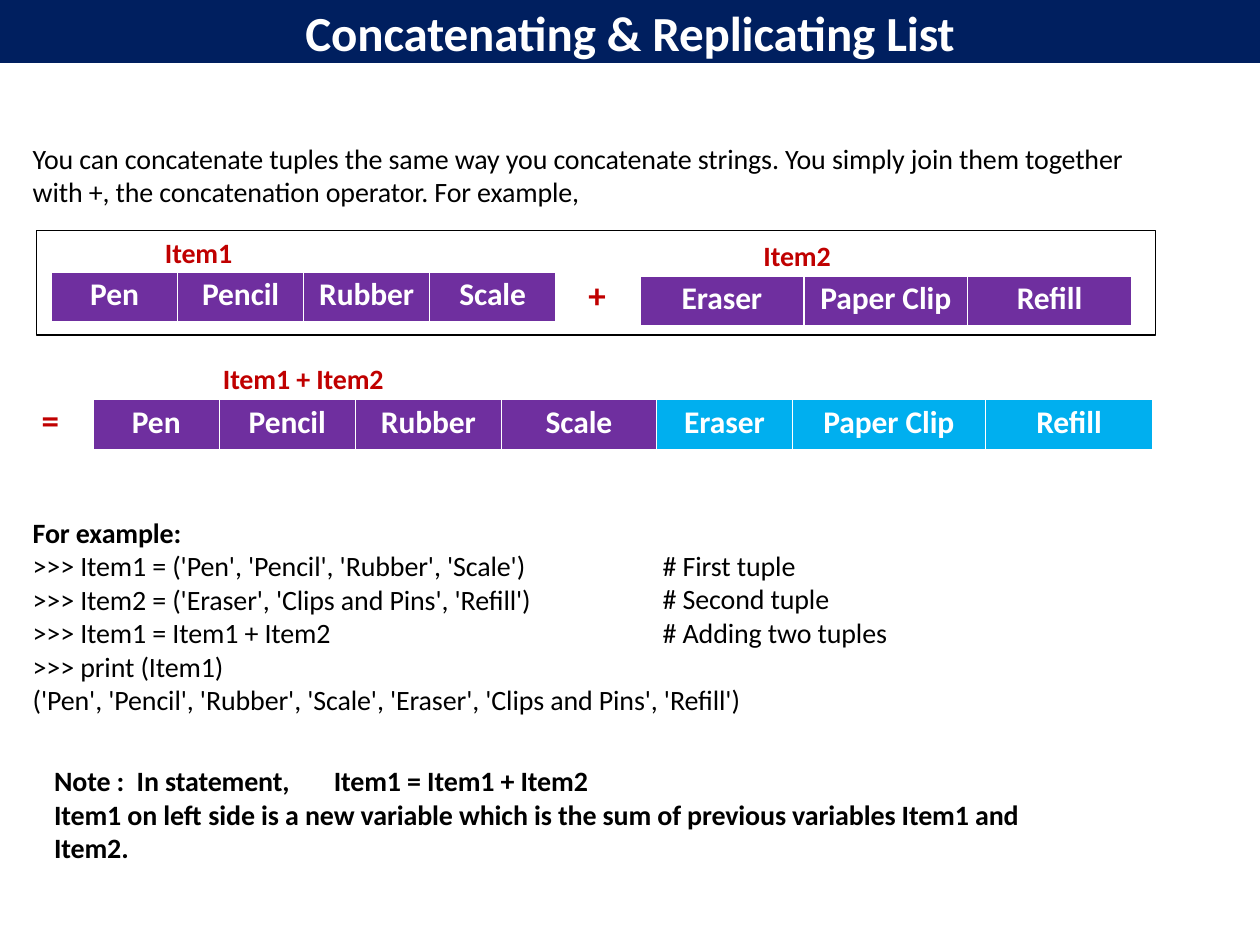
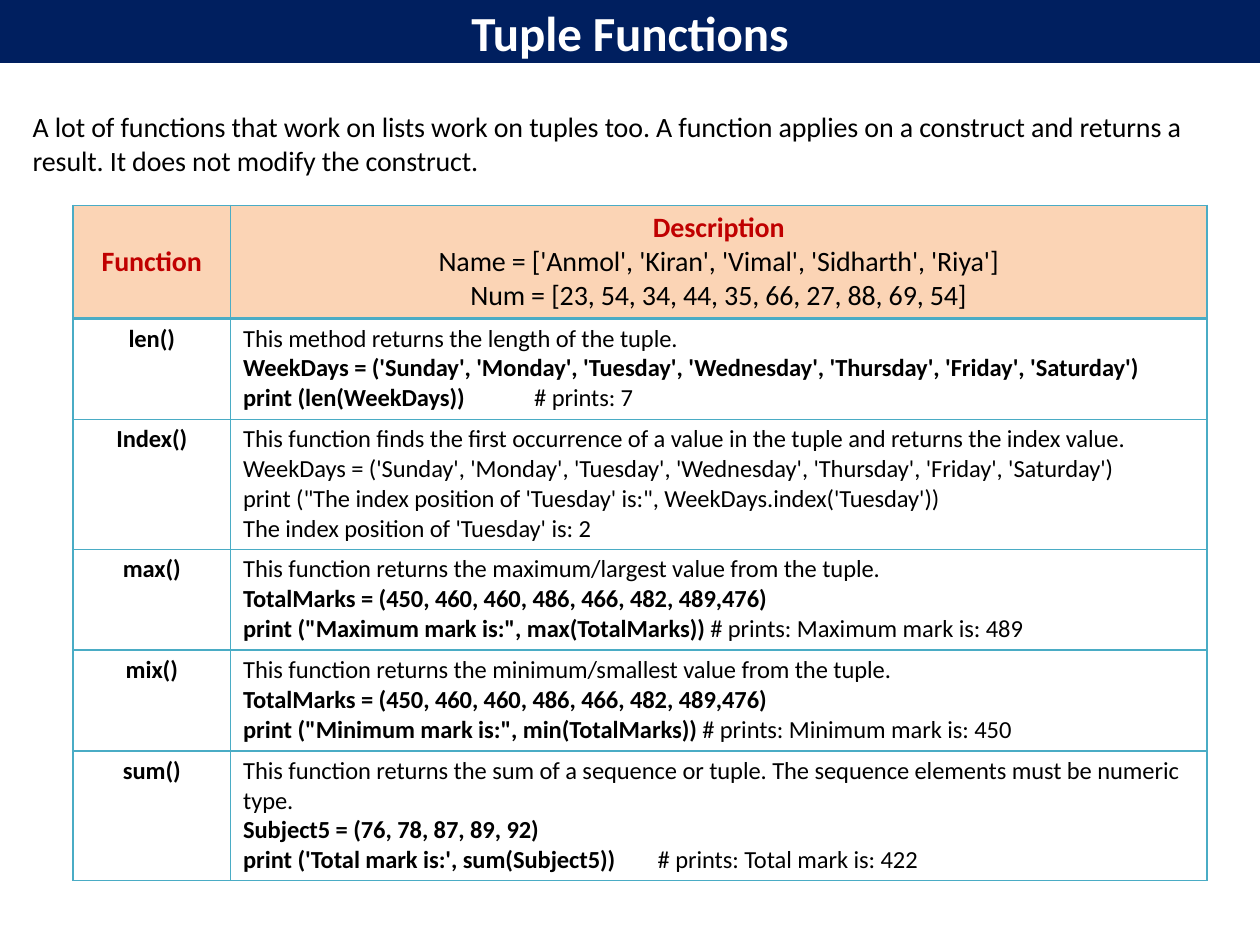
from lxml import etree
from pptx import Presentation
from pptx.dml.color import RGBColor
from pptx.enum.shapes import MSO_SHAPE
from pptx.enum.text import MSO_ANCHOR, PP_ALIGN
from pptx.oxml.ns import qn
from pptx.util import Inches, Pt

LEFT = PP_ALIGN.LEFT
CENTER = PP_ALIGN.CENTER
TOP = MSO_ANCHOR.TOP
MIDDLE = MSO_ANCHOR.MIDDLE
RECTANGLE = MSO_SHAPE.RECTANGLE

FONT = "Calibri"
NAVY = "001F5F"
WHITE = "FFFFFF"
BLACK = "000000"
RED = "C00000"
PURPLE = "6F2F9F"
BLUE = "00AFEF"
PEACH = "FBD4B5"
TEAL = "4AACC5"
color = RGBColor.from_string


def write(frame, lines, size, hue=BLACK, bold=False, align=LEFT, space=0.9, tab=0):
    for index, line in enumerate(lines):
        para = frame.add_paragraph() if index else frame.paragraphs[0]
        strong, bar, plain = line.partition("|")
        para.alignment = align
        para.space_before = Pt(0 if index else space)
        para.font.name = FONT
        para.font.size = Pt(size)
        para.font.color.rgb = color(hue)
        para.font.bold = bold or bool(bar)
        for text in filter(None, (strong, plain)):
            span = para.add_run()
            span.text = text
            span._r.get_or_add_rPr().set("spc", "-5")
            if bar and text == plain:
                span.font.bold = False
        if "\t" in line:
            stops = etree.Element(qn("a:tabLst"))
            etree.SubElement(stops, qn("a:tab"), pos=str(Inches(tab)), algn="l")
            para._p.pPr.find(qn("a:defRPr")).addprevious(stops)


def outline(cell, hue, top, bottom):
    sides = (("lnL", 1), ("lnR", 1), ("lnT", top), ("lnB", bottom))
    for index, (side, width) in enumerate(sides):
        line = etree.Element(qn(f"a:{side}"), w=str(Pt(width)))
        fill = etree.SubElement(line, qn("a:solidFill"))
        etree.SubElement(fill, qn("a:srgbClr"), val=hue)
        cell._tc.get_or_add_tcPr().insert(index, line)


deck = Presentation()
deck.slide_width = Inches(10)
deck.slide_height = Inches(7.5)

pages = []
for title in ("Concatenating & Replicating List", "Tuple Functions"):
    page = deck.slides.add_slide(deck.slide_layouts[6])
    band = page.shapes.add_shape(RECTANGLE, 0, 0, deck.slide_width, Inches(0.5))
    band.shadow.inherit = False
    band.fill.solid()
    band.fill.fore_color.rgb = color(NAVY)
    band.line.fill.background()
    frame = band.text_frame
    frame.margin_left = frame.margin_right = frame.margin_bottom = 0
    frame.margin_top = Inches(0.02)
    frame.vertical_anchor = TOP
    write(frame, [title], 28, WHITE, True, CENTER, 1.8)
    pages.append(page)
joining, functions = pages

labels = [
    (joining, (0.25, 1.11, 8.77, 0.56), 16, BLACK, False, [
        "You can concatenate tuples the same way you concatenate strings. "
        "You simply join them together with +, the concatenation operator. For example,"]),
    (joining, (5.25, 4.34, 1.83, 0.83), 16, BLACK, False, [
        "# First tuple", "# Second tuple", "# Adding two tuples"]),
    (joining, (0.25, 4.08, 4.03, 1.36), 16, BLACK, False, [
        "For example:|",
        ">>> Item1 = ('Pen', 'Pencil', 'Rubber', 'Scale')",
        ">>> Item2 = ('Eraser', 'Clips and Pins', 'Refill')",
        ">>> Item1 = Item1 + Item2",
        ">>> print (Item1)"]),
    (joining, (1.3, 1.86, 0.6, 0.29), 16, RED, True, ["Item1"]),
    (joining, (6.05, 1.88, 0.6, 0.29), 16, RED, True, ["Item2"]),
    (joining, (4.66, 2.16, 0.2, 0.36), 20, RED, True, ["+"]),
    (joining, (1.76, 2.86, 1.4, 0.29), 16, RED, True, ["Item1 + Item2"]),
    (joining, (0.32, 3.15, 0.2, 0.36), 20, RED, True, ["="]),
    (joining, (0.25, 5.41, 7.94, 0.29), 16, BLACK, False, [
        "('Pen', 'Pencil', 'Rubber', 'Scale', 'Eraser', 'Clips and Pins', 'Refill')"]),
    (joining, (0.42, 6.05, 7.77, 0.83), 16, BLACK, True, [
        "Note :  In statement,\tItem1 = Item1 + Item2",
        "Item1 on left side is a new variable which is the sum of previous "
        "variables Item1 and Item2."]),
    (functions, (0.25, 0.86, 9.27, 0.56), 16, BLACK, False, [
        "A lot of functions that work on lists work on tuples too. A function applies on "
        "a construct and returns a result. It does not modify the construct."]),
]
for page, place, size, hue, bold, lines in labels:
    box = page.shapes.add_textbox(*map(Inches, place))
    frame = box.text_frame
    frame.word_wrap = True
    frame.margin_left = frame.margin_top = Inches(0.01)
    frame.margin_right = frame.margin_bottom = 0
    write(frame, lines, size, hue, bold, tab=2.22)

first = ["Pen", "Pencil", "Rubber", "Scale"]
second = ["Eraser", "Paper Clip", "Refill"]
strips = [
    (0.41, 2.16, [1] * 4, first, [PURPLE] * 4),
    (5.08, 2.19, [1.3] * 3, second, [PURPLE] * 3),
    (0.74, 3.17, [1, 1.08, 1.16, 1.23, 1.08, 1.53, 1.33], first + second,
     [PURPLE] * 4 + [BLUE] * 3),
]
for left, top, widths, words, fills in strips:
    table = joining.shapes.add_table(
        1, len(words), Inches(left), Inches(top), Inches(sum(widths)), Inches(0.41)).table
    table.first_row = table.horz_banding = False
    for column, width, word, fill in zip(table.columns, widths, words, fills):
        column.width = Inches(width)
    for cell, word, fill in zip(table.rows[0].cells, words, fills):
        cell.margin_left = cell.margin_right = cell.margin_bottom = 0
        cell.margin_top = Inches(0.03)
        cell.fill.solid()
        cell.fill.fore_color.rgb = color(fill)
        outline(cell, WHITE, 1, 3)
        write(cell.text_frame, [word], 18, WHITE, True, CENTER, 2.4)

border = joining.shapes.add_shape(
    RECTANGLE, Inches(0.29), Inches(1.83), Inches(8.88), Inches(0.83))
border.shadow.inherit = False
border.fill.background()
border.line.color.rgb = color(BLACK)
border.line.width = Pt(0.96)

week = "WeekDays = ('Sunday', 'Monday', 'Tuesday', 'Wednesday', 'Thursday', 'Friday', 'Saturday')"
marks = "TotalMarks = (450, 460, 460, 486, 466, 482, 489,476)|"
rows = [
    (0.9, 0, "Function", [
        "Description|",
        "Name = ['Anmol', 'Kiran', 'Vimal', 'Sidharth', 'Riya']",
        "Num = [23, 54, 34, 44, 35, 66, 27, 88, 69, 54]"]),
    (0.8, 2.31, "len()", [
        "This method returns the length of the tuple.",
        week + "|",
        "print (len(WeekDays))\t|# prints: 7"]),
    (1.03, 0, "Index()", [
        "This function finds the first occurrence of a value in the tuple "
        "and returns the index value.",
        week,
        "print (\"The index position of 'Tuesday' is:\", WeekDays.index('Tuesday'))",
        "The index position of 'Tuesday' is: 2"]),
    (0.8, 0, "max()", [
        "This function returns the maximum/largest value from the tuple.",
        marks,
        'print ("Maximum mark is:", max(TotalMarks)) |# prints: Maximum mark is: 489']),
    (0.8, 0, "mix()", [
        "This function returns the minimum/smallest value from the tuple.",
        marks,
        'print ("Minimum mark is:", min(TotalMarks)) |# prints: Minimum mark is: 450']),
    (1.03, 3.29, "sum()", [
        "This function returns the sum of a sequence or tuple. "
        "The sequence elements must be numeric type.",
        "Subject5 = (76, 78, 87, 89, 92)|",
        "print ('Total mark is:', sum(Subject5))\t|# prints: Total mark is: 422"]),
]
table = functions.shapes.add_table(
    len(rows), 2, Inches(0.58), Inches(1.63), Inches(9), Inches(5.36)).table
table.first_row = table.horz_banding = False
table.columns[0].width = Inches(1.25)
table.columns[1].width = Inches(7.75)
for index, (height, tab, name, lines) in enumerate(rows):
    header = index == 0
    table.rows[index].height = Inches(height)
    name_cell, text_cell = table.rows[index].cells
    for cell in (name_cell, text_cell):
        cell.margin_left = cell.margin_right = cell.margin_bottom = 0
        cell.margin_top = Inches(0.04)
        if header:
            cell.fill.solid()
            cell.fill.fore_color.rgb = color(PEACH)
        else:
            cell.fill.background()
        outline(cell, TEAL, 2.25 if index == 1 else 1, 2.25 if header else 1)
    size = 16 if header else 14
    write(name_cell.text_frame, [name], size, RED if header else BLACK, True, CENTER, 2.7)
    write(text_cell.text_frame, lines, size, align=CENTER if header else LEFT, space=2.7, tab=tab)
    if header:
        name_cell.vertical_anchor = MIDDLE
        name_cell.margin_top = 0
        text_cell.text_frame.paragraphs[0].font.color.rgb = color(RED)
    else:
        text_cell.margin_left = Inches(0.1)

deck.save("out.pptx")
